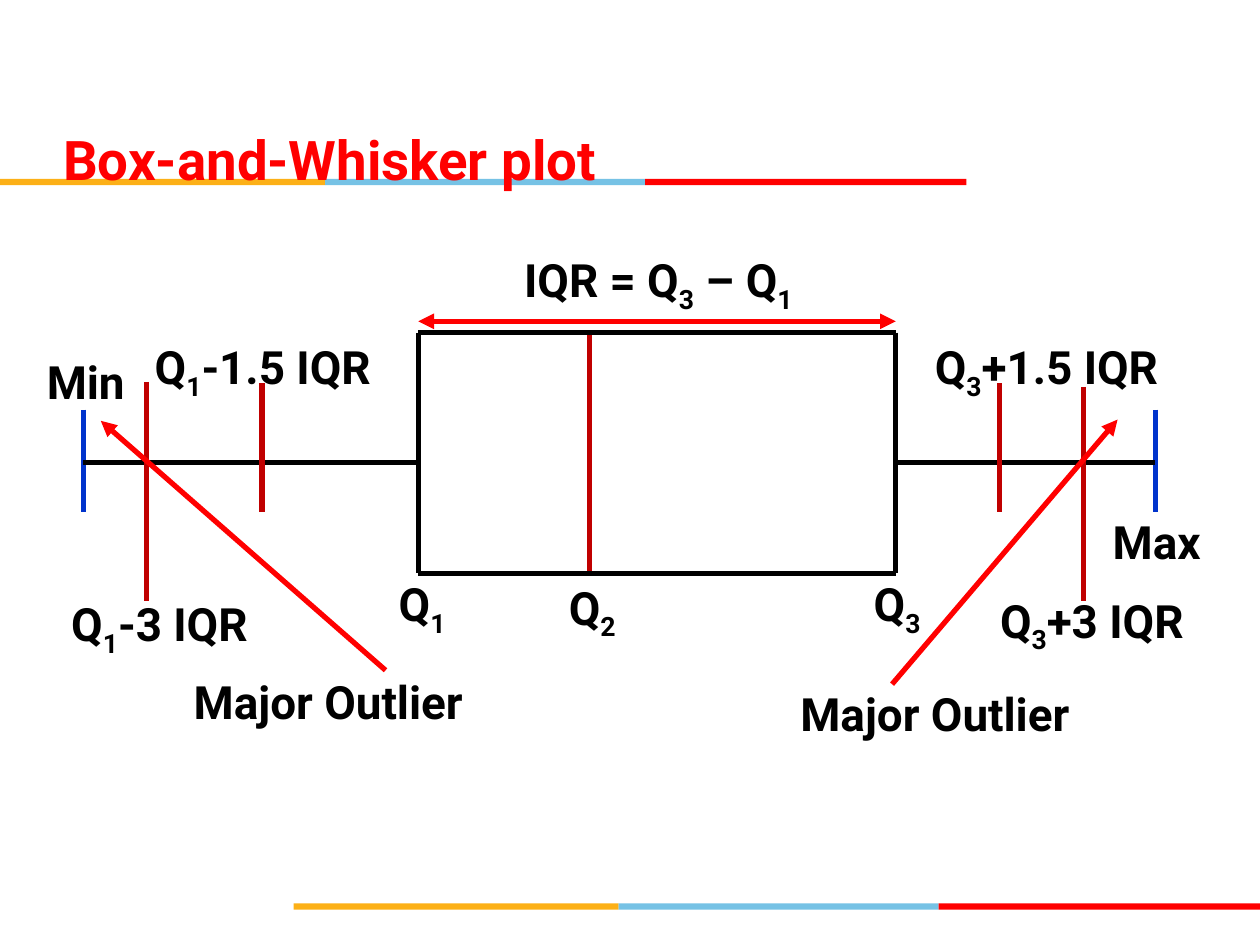
from lxml.etree import SubElement as Sub
from pptx import Presentation as Deck
from pptx.dml.color import RGBColor as Rgb
from pptx.enum.shapes import MSO_CONNECTOR as Link, MSO_SHAPE as Shape
from pptx.enum.text import MSO_ANCHOR as Anchor, MSO_AUTO_SIZE as Fit, PP_ALIGN as Align
from pptx.oxml.ns import qn
from pptx.util import Inches, Pt

HUES = {"black": "000000", "red": "FF0000", "dark": "C00000",
        "blue": "0033CC", "gold": "FCB017", "sky": "76C2E5"}
FONT = "Roboto"
COLS, ROWS = 100, 75  # square cells of a tenth of an inch


def cell(n):
    """Turn a count of grid cells into a length."""
    return Inches(n / 10)


def hue(name):
    """Look up a colour by name."""
    return Rgb.from_string(HUES[name])


def style(run, size, tint):
    """Set the font of one run."""
    font = run.font
    font.name, font.size, font.bold = FONT, Pt(size), True
    font.color.rgb = hue(tint)


def frame(shape, fit):
    """Set the insets and wrapping of a text frame."""
    text = shape.text_frame
    text.word_wrap, text.auto_size = True, fit
    text.vertical_anchor = Anchor.TOP
    text.margin_left = text.margin_right = Inches(0.06)
    text.margin_top = text.margin_bottom = Inches(0.03)
    return text.paragraphs[0]


def band(slide, left, top):
    """Draw a strip of three colours from left to right."""
    for tint, width in (("gold", 25.8), ("sky", 25.4), ("red", 25.5)):
        bar = slide.shapes.add_shape(Shape.RECTANGLE, cell(left), cell(top),
                                     cell(width), cell(0.5))
        bar.shadow.inherit = False
        bar.fill.solid()
        bar.fill.fore_color.rgb = hue(tint)
        bar.line.fill.background()
        left += width


def title(slide, words):
    """Place the title in front of the strips."""
    head = slide.shapes.title
    head.left, head.top = cell(4.4), cell(9.7)
    head.width, head.height = cell(78.7), cell(4.8)
    para = frame(head, Fit.NONE)
    para.alignment = Align.LEFT
    para.line_spacing, para.space_before = 1, Pt(0)
    run = para.add_run()
    run.text = words
    style(run, 31.2, "red")
    slide.shapes._spTree.append(head._element)


def label(slide, left, top, width, words):
    """Add a centred label; a part after an underscore starts with a subscript."""
    box = slide.shapes.add_textbox(cell(left), cell(top), cell(width), cell(5.1))
    para = frame(box, Fit.SHAPE_TO_FIT_TEXT)
    para.alignment = Align.CENTER
    first, *rest = words.split("_")
    parts = [(first, False)]
    for part in rest:
        parts += [(part[0], True), (part[1:], False)]
    for part, sub in parts:
        if part:
            run = para.add_run()
            run.text = part
            style(run, 26.2, "black")
            if sub:
                run._r.get_or_add_rPr().set("baseline", "-25000")


def line(slide, start, end, tint, tips=()):
    """Draw a straight line with arrow tips at the named ends."""
    rule = slide.shapes.add_connector(Link.STRAIGHT, *map(cell, start + end))
    rule.line.color.rgb = hue(tint)
    rule.line.width = Pt(3)
    for tip in tips:
        Sub(rule.line._get_or_add_ln(), qn(f"a:{tip}"), type="triangle")
    Sub(rule._element.spPr, qn("a:effectLst"))


def plot(slide):
    """Draw the box, its whiskers and the fence marks."""
    low, mid, high = 33.2, 46.8, 71.1
    top, base, axis = 26.4, 45.5, 36.7
    least, most = 6.6, 91.7
    for x, tint in ((low, "black"), (high, "black"), (mid, "dark")):
        line(slide, (x, top), (x, base), tint)
    for y in (top, base):
        line(slide, (low, y), (high, y), "black")
    for x in (least, most):
        line(slide, (x, 32.5), (x, 40.6), "blue")
    for start, end in ((least, low), (high, most)):
        line(slide, (start, axis), (end, axis), "black")
    for x, start, end in ((20.8, 30.4, 40.6), (79.3, 30.4, 40.6),
                          (11.6, 30.3, 47.7), (86, 30.7, 47.7)):
        line(slide, (x, start), (x, end), "dark")
    line(slide, (low, 25.5), (high, 25.5), "red", ("headEnd", "tailEnd"))
    for start, end in (((30.6, 53.2), (8, 33.4)), ((70.8, 54.3), (88.7, 33.3))):
        line(slide, start, end, "red", ("tailEnd",))


def main():
    """Build and save the slide."""
    deck = Deck()
    deck.slide_width, deck.slide_height = cell(COLS), cell(ROWS)
    slide = deck.slides.add_slide(deck.slide_layouts[5])
    band(slide, 23.3, 71.7)
    band(slide, 0, 14.2)
    title(slide, "Box-and-Whisker plot")
    plot(slide)
    for spot in ((29.9, 45.4, 7.2, "Q_1"), (44, 45.7, 6, "Q_2"),
                 (68.2, 45.4, 6, "Q_3"),
                 (10.6, 26.6, 20.5, "Q_1-1.5 IQR"),
                 (72.8, 26.6, 20.5, "Q_3+1.5 IQR"),
                 (2.4, 47, 20.5, "Q_1-3 IQR"),
                 (76.4, 46.7, 20.5, "Q_3+3 IQR"),
                 (2.4, 27.8, 8.8, "Min"), (87.4, 40.5, 8.8, "Max"),
                 (12.7, 53.2, 26.7, "Major Outlier"),
                 (59.7, 54.1, 29, "Major Outlier"),
                 (39.2, 19.7, 26.1, "IQR = Q_3 – Q_1")):
        label(slide, *spot)
    deck.save("out.pptx")


main()
